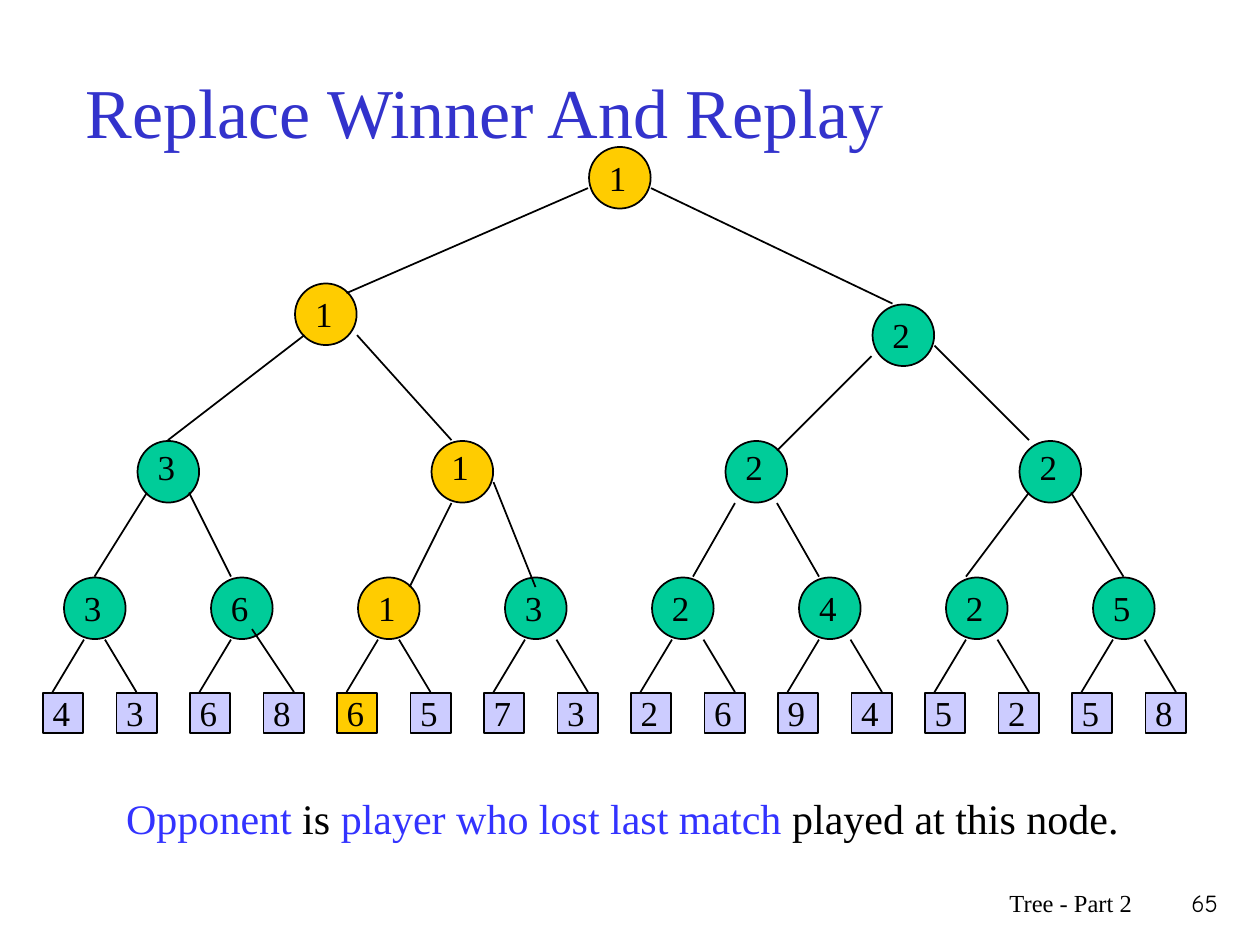
from lxml.etree import SubElement
from pptx import Presentation
from pptx.dml.color import RGBColor
from pptx.enum.shapes import MSO_CONNECTOR, MSO_SHAPE
from pptx.enum.text import MSO_ANCHOR, PP_ALIGN
from pptx.oxml.ns import qn
from pptx.util import Pt

BLACK, GOLD, GREEN, LILAC = "000000", "FFCC00", "00CC99", "CCCCFF"
SERIF = "Times New Roman"


def color(hex_code):
    return RGBColor.from_string(hex_code)


def add_text(left, top, width, height, pieces, size, font=SERIF,
             align=PP_ALIGN.LEFT, anchor=MSO_ANCHOR.TOP, wrap=True):
    box = slide.shapes.add_textbox(Pt(left), Pt(top), Pt(width), Pt(height))
    frame = box.text_frame
    frame.word_wrap = wrap
    frame.vertical_anchor = anchor
    paragraph = frame.paragraphs[0]
    paragraph.alignment = align
    for words, hex_code in pieces:
        run = paragraph.add_run()
        run.text = words
        run.font.size = Pt(size)
        run.font.name = font
        run.font.color.rgb = color(hex_code)


prs = Presentation()
prs.slide_width, prs.slide_height = Pt(720), Pt(540)
slide = prs.slides.add_slide(prs.slide_layouts[6])

add_text(42, 18, 612, 90, [("Replace Winner And Replay", "3333CC")], 40,
         anchor=MSO_ANCHOR.MIDDLE)

players = []
for i, value in enumerate("4368657326945258"):
    fill = GOLD if i == 4 else LILAC
    players.append((MSO_SHAPE.RECTANGLE, 24.6 + 42 * i, 396, 23, value, fill, -1.6, -4.3))

matches = []
for i, value in enumerate("36132425"):
    fill = GOLD if i == 2 else GREEN
    matches.append((MSO_SHAPE.OVAL, 36.6 + 84 * i, 330, 35.2, value, fill, 4.3, 1.8))
for i, value in enumerate("3122"):
    fill = GOLD if i == 1 else GREEN
    matches.append((MSO_SHAPE.OVAL, 78.6 + 168 * i, 252, 35.2, value, fill, 4.3, -0.7))
for left, top, value, fill in [(168.6, 162, "1", GOLD), (498.6, 174, "2", GREEN),
                               (336.6, 84, "1", GOLD)]:
    matches.append((MSO_SHAPE.OVAL, left, top, 35.2, value, fill, 4.3, 1.8))

for kind, left, top, side, value, fill, dx, dy in players + matches:
    node = slide.shapes.add_shape(kind, Pt(left), Pt(top), Pt(side), Pt(side))
    node.shadow.inherit = False
    node.fill.solid()
    node.fill.fore_color.rgb = color(fill)
    node.line.color.rgb = color(BLACK)
    node.line.width = Pt(1)

branches = [
    (336, 107.5, 198, 167.5), (372, 107.5, 510, 173.5),
    (174, 191.5, 96, 251.5), (204, 191.5, 258, 251.5),
    (498, 203.5, 444, 257.5), (534, 197.5, 588, 251.5),
    (84, 281.5, 54, 329.5), (108, 281.5, 132, 329.5),
    (258, 287.5, 234, 335.5), (282, 275.5, 306, 335.5),
    (420, 287.5, 396, 329.5), (444, 287.5, 468, 329.5),
    (588, 281.5, 552, 329.5), (612, 281.5, 642, 329.5),
]
for i in range(8):
    start = 84 * i
    shift = 6 if i >= 3 else 0
    branches.append((start + 48, 365.5, start + 30, 395.5))
    if i == 1:
        branches.append((144, 359.5, 168, 395.5))
    else:
        branches.append((start + 60 + shift, 365.5, start + 78 + shift, 395.5))

for ends in branches:
    branch = slide.shapes.add_connector(MSO_CONNECTOR.STRAIGHT, *map(Pt, ends))
    branch.line.color.rgb = color(BLACK)
    branch.line.width = Pt(1)
    SubElement(branch._element.spPr, qn("a:effectLst"))

for kind, left, top, side, value, fill, dx, dy in players + matches:
    add_text(left + dx, top + dy, 24.4, 31, [(value, BLACK)], 20, wrap=False)

add_text(65, 449.5, 600, 36, [
    ("Opponent", "3333FF"), (" is ", BLACK),
    ("player who lost last match", "3333FF"), (" played at this node.", BLACK),
], 24)
add_text(426, 504, 228, 36, [("Tree - Part 2", BLACK)], 14, align=PP_ALIGN.RIGHT)
add_text(654, 504, 49, 36, [("65", BLACK)], 14, font="Comic Neue", align=PP_ALIGN.RIGHT)

prs.save("out.pptx")
